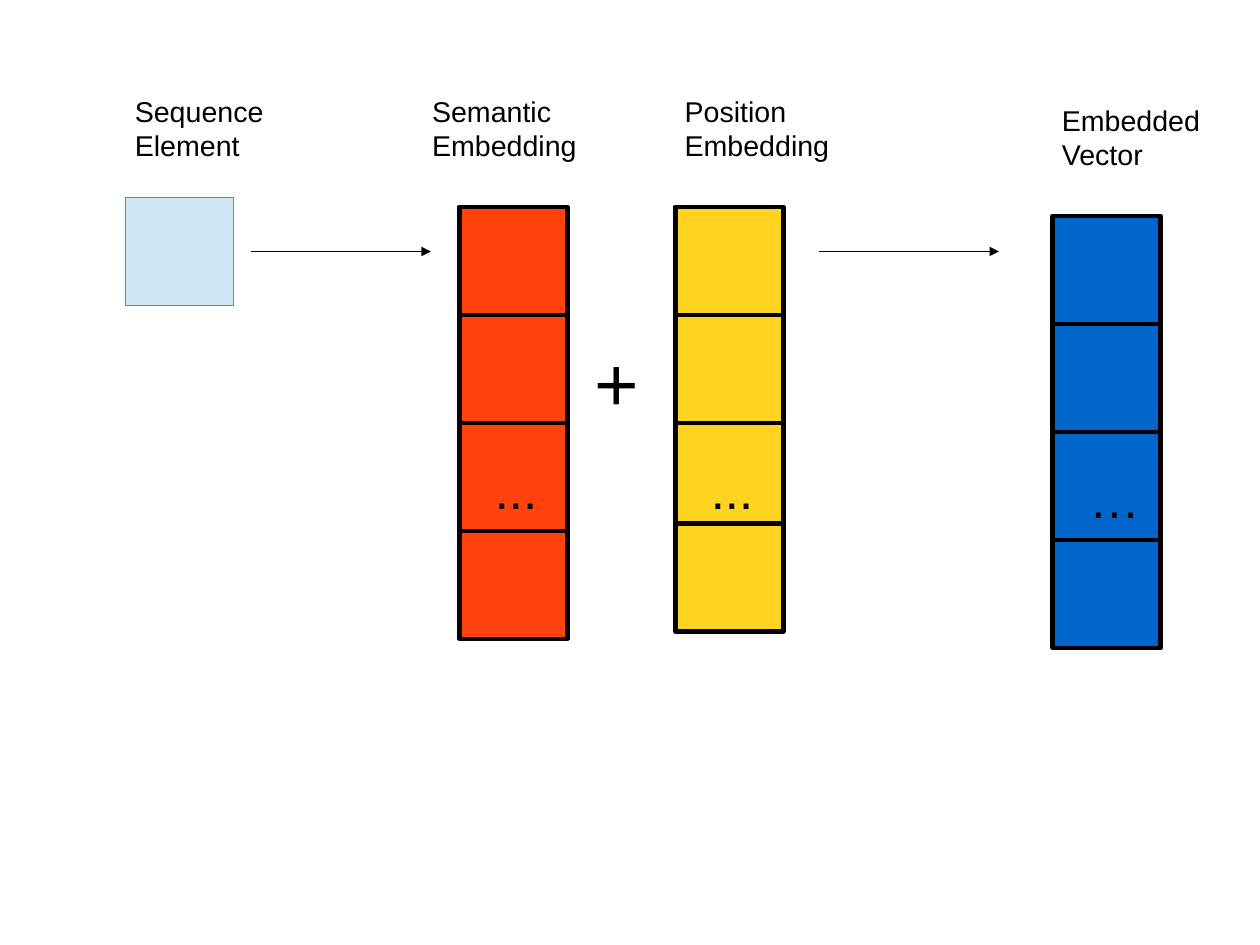
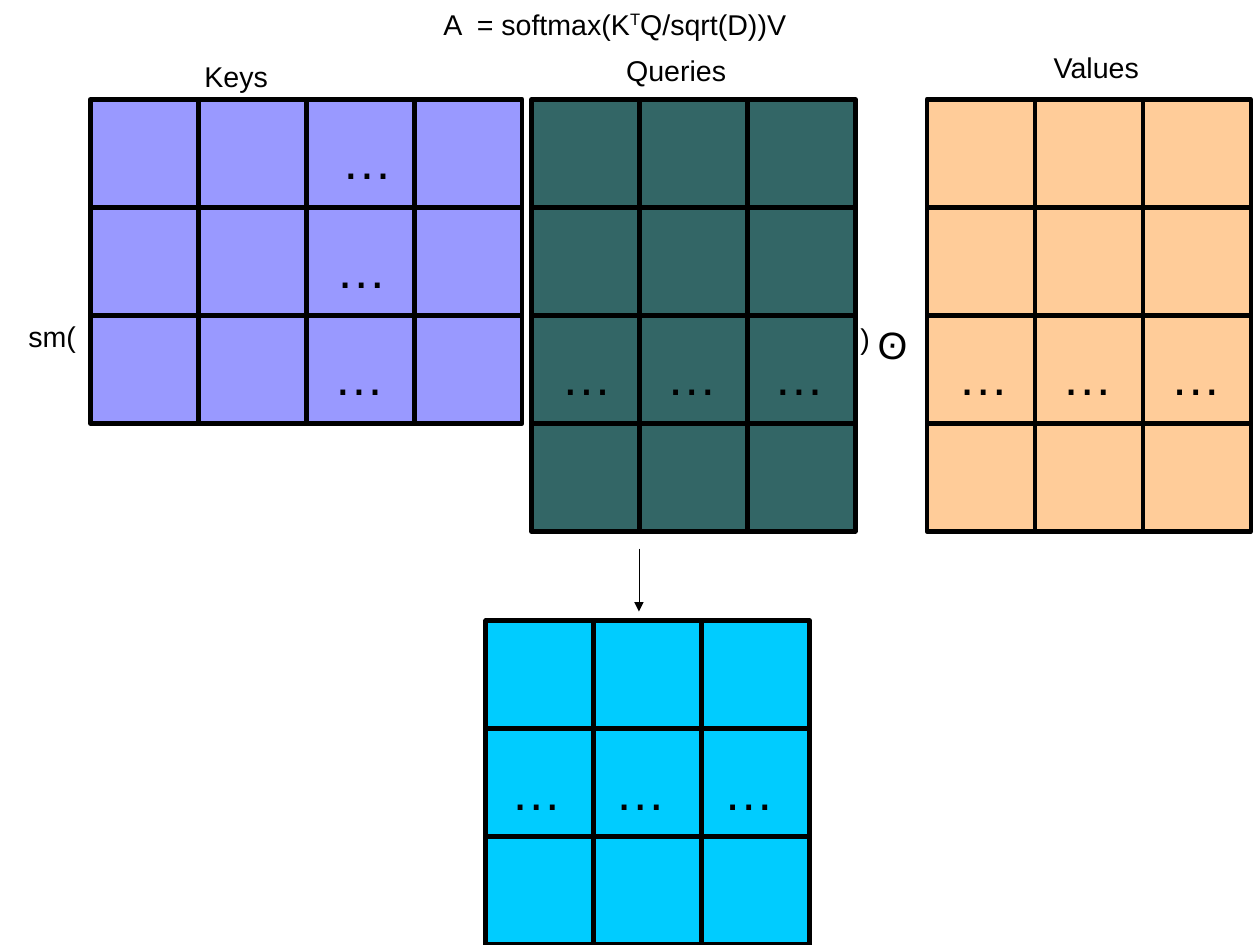
import pptx
import pptx.dml.color
import pptx.enum.shapes
import pptx.enum.text
import pptx.util
import pptx.oxml.ns
from lxml import etree

Inches = pptx.util.Inches
SLIDE_WIDTH = 28 / 2.54
SLIDE_HEIGHT = 21 / 2.54
CELL = 2.4 / 2.54
WIDE_INSETS = (0.16, 0.11)
SLIM_INSETS = (0.1, 0.05)
BLACK = "000000"
COLORS = {
    "element": "CFE7F5", "element_line": "808080", "semantic": "FF420E",
    "position": "FFD320", "embedded": "0066CC", "keys": "9999FF",
    "queries": "336666", "values": "FFCC99", "result": "00CCFF",
}


def color(value):
    """Turn a hex string into a colour."""
    return pptx.dml.color.RGBColor.from_string(value)


def add_run(paragraph, text, size, baseline=0):
    """Append one formatted run, raised by a baseline percentage."""
    run = paragraph.add_run()
    run.text = text
    run.font.name = "Arial"
    run.font.size = pptx.util.Pt(size)
    run.font.color.rgb = color(BLACK)
    if baseline:
        run.font._element.set("baseline", str(baseline * 1000))


def format_frame(shape, insets, wrap):
    """Set insets, wrapping and top anchoring of a text shape."""
    frame = shape.text_frame
    frame.margin_left = frame.margin_right = Inches(insets[0])
    frame.margin_top = frame.margin_bottom = Inches(insets[1])
    frame.auto_size = pptx.enum.text.MSO_AUTO_SIZE.NONE
    frame.vertical_anchor = pptx.enum.text.MSO_ANCHOR.TOP
    frame.word_wrap = wrap
    return frame


def add_text(slide, box, lines, size=18, insets=WIDE_INSETS, wrap=False):
    """Place a text box with one paragraph for each line."""
    shape = slide.shapes.add_textbox(*map(Inches, box))
    frame = format_frame(shape, insets, wrap)
    for index, line in enumerate(lines):
        paragraph = frame.add_paragraph() if index else frame.paragraphs[0]
        add_run(paragraph, line, size)
    return shape


def add_title(slide, box, runs):
    """Place the title placeholder and fill it run by run."""
    title = slide.shapes.title
    title.left, title.top, title.width, title.height = map(Inches, box)
    paragraph = format_frame(title, SLIM_INSETS, False).paragraphs[0]
    paragraph.alignment = pptx.enum.text.PP_ALIGN.LEFT
    for text, baseline in runs:
        add_run(paragraph, text, 18, baseline)


def set_outline(shape, line_color, width):
    """Colour an outline and write its width, even when it is zero."""
    shape.line.color.rgb = color(line_color)
    outline = shape.line._get_or_add_ln()
    outline.set("w", str(int(pptx.util.Pt(width))))
    return outline


def add_cell(slide, left, top, fill, line_color=BLACK, width=2.83):
    """Draw one square cell."""
    cell = slide.shapes.add_shape(
        pptx.enum.shapes.MSO_SHAPE.RECTANGLE,
        Inches(left), Inches(top), Inches(CELL), Inches(CELL))
    cell.shadow.inherit = False
    cell.fill.solid()
    cell.fill.fore_color.rgb = color(fill)
    set_outline(cell, line_color, width)


def add_matrix(slide, left, top, columns, rows, fill, dots=(), mark="…"):
    """Draw a grid of cells with ellipses at offsets from its corner."""
    for row in range(rows):
        for column in range(columns):
            add_cell(slide, left + column * CELL, top + row * CELL, fill)
    width = 0.76 if mark == "…" else 0.69
    for across, down in dots:
        add_text(slide, (left + across, top + down, width, 0.72), [mark], 32)


def add_arrow(slide, start, end):
    """Draw a hairline arrow."""
    arrow = slide.shapes.add_connector(
        pptx.enum.shapes.MSO_CONNECTOR.STRAIGHT, *map(Inches, start + end))
    outline = set_outline(arrow, BLACK, 0)
    qn = pptx.oxml.ns.qn
    etree.SubElement(outline, qn("a:tailEnd"), type="triangle")
    etree.SubElement(outline.getparent(), qn("a:effectLst"))


def build_embedding_slide(presentation):
    """Show how two embeddings add up to one vector."""
    slide = presentation.slides.add_slide(presentation.slide_layouts[6])
    add_cell(slide, 1.1, 1.73, COLORS["element"], COLORS["element_line"], 0)
    add_text(slide, (1.02, 0.71, 2.36, 3.86), ["Sequence Element"], wrap=True)
    for left in (2.2, 7.17):
        add_arrow(slide, (left, 2.2), (left + 1.57, 2.2))
    dots = [(0.15, 2.09)]
    add_matrix(slide, 4.02, 1.81, 1, 4, COLORS["semantic"], dots, "...")
    add_matrix(slide, 5.91, 1.81, 1, 3, COLORS["position"], dots, "...")
    add_cell(slide, 5.91, 4.58, COLORS["position"])
    add_matrix(slide, 9.21, 1.89, 1, 4, COLORS["embedded"], [(0.16, 2.09)])
    add_text(slide, (5.04, 2.82, 0.71, 0.96), ["+"], 48)
    for left, top, lines in (
            (3.62, 0.71, ["Semantic", "Embedding"]),
            (5.83, 0.71, ["Position", "Embedding"]),
            (9.13, 0.79, ["Embedded", "Vector"])):
        add_text(slide, (left, top, 1.58, 0.78), lines)


def build_attention_slide(presentation):
    """Show attention as a product of matrices."""
    slide = presentation.slides.add_slide(presentation.slide_layouts[5])
    add_title(slide, (3.78, 0.01, 3.21, 0.38),
              [("A  = softmax(K", 0), ("T", 33), ("Q/sqrt(D))V", 0)])
    for name, left, top, columns, rows, dots in (
            ("values", 8.11, 0.87, 3, 4,
             [(0.11, 2.04), (1.02, 2.04), (1.97, 2.04)]),
            ("queries", 4.65, 0.87, 3, 4,
             [(0.1, 2.04), (1.02, 2.04), (1.96, 2.04)]),
            ("keys", 0.79, 0.87, 4, 3,
             [(2.04, 0.15), (1.99, 1.1), (1.97, 2.04)]),
            ("result", 4.25, 5.43, 3, 3,
             [(0.06, 1.11), (0.97, 1.11), (1.92, 1.11)])):
        add_matrix(slide, left, top, columns, rows, COLORS[name], dots)
    add_arrow(slide, (5.59, 4.8), (5.59, 5.35))
    for left, top, width, text in (
            (0.15, 2.74, 0.61, "sm("), (1.69, 0.47, 0.75, "Keys"),
            (9.12, 0.39, 0.96, "Values"), (5.38, 0.41, 1.07, "Queries"),
            (7.43, 2.76, 0.29, ")")):
        add_text(slide, (left, top, width, 0.38), [text], insets=SLIM_INSETS)
    operator = add_text(slide, (7.58, 2.77, 0.55, 0.53), ["ʘ"], 24,
                        SLIM_INSETS, True)
    operator.rotation = 3.8


def main():
    """Build and save the presentation."""
    presentation = pptx.Presentation()
    presentation.slide_width = Inches(SLIDE_WIDTH)
    presentation.slide_height = Inches(SLIDE_HEIGHT)
    build_embedding_slide(presentation)
    build_attention_slide(presentation)
    presentation.save("out.pptx")


if __name__ == "__main__":
    main()
